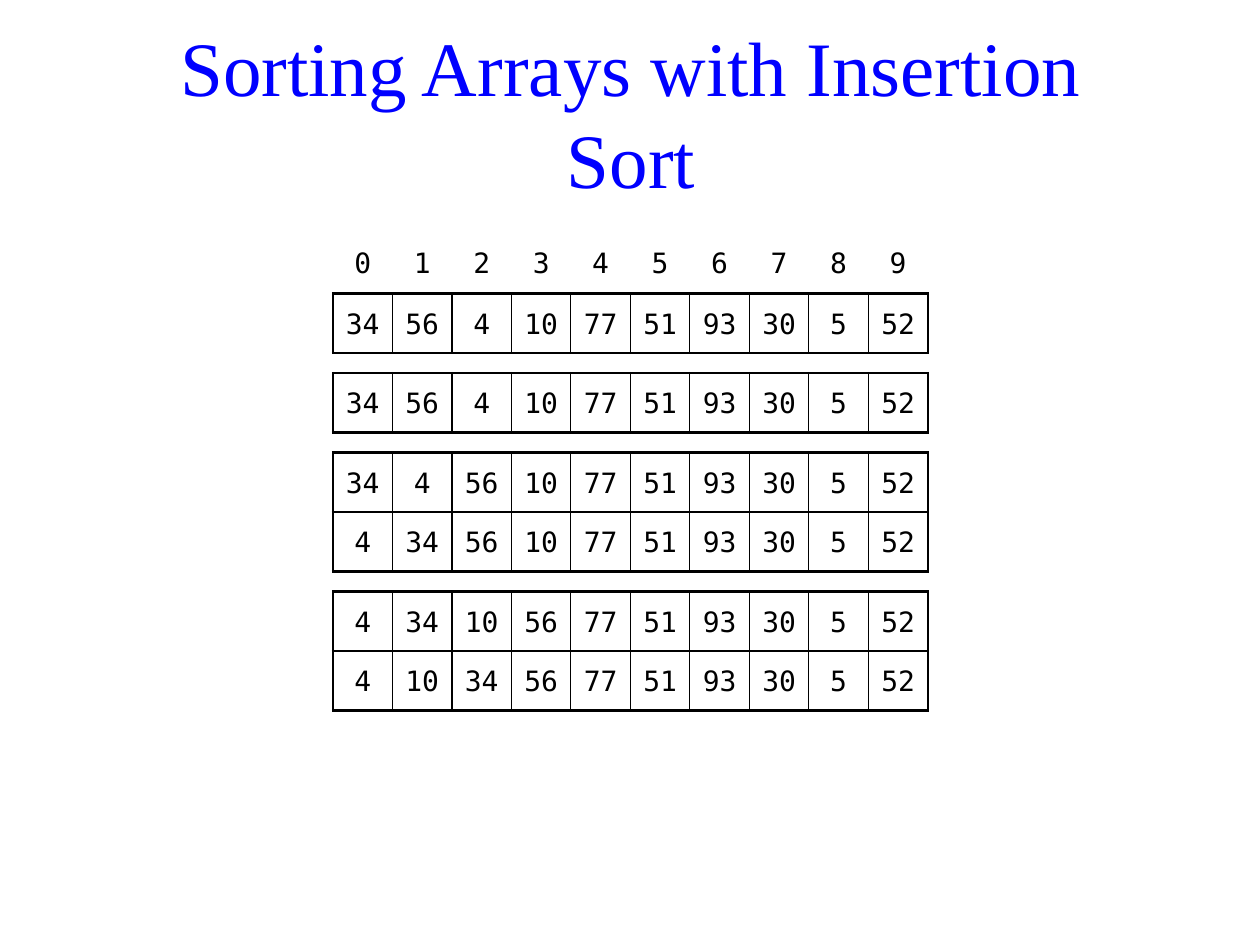
from lxml import etree
from pptx import Presentation, util as u
from pptx.dml.color import RGBColor
from pptx.enum import text
from pptx.oxml.ns import qn

TITLE = "Sorting Arrays with Insertion Sort"
INDEXES = list(range(10))
# Each group is one step of the sort; its arrays touch, and a gap follows.
STEPS = [
    [[34, 56, 4, 10, 77, 51, 93, 30, 5, 52]],
    [[34, 56, 4, 10, 77, 51, 93, 30, 5, 52]],
    [[34, 4, 56, 10, 77, 51, 93, 30, 5, 52],
     [4, 34, 56, 10, 77, 51, 93, 30, 5, 52]],
    [[4, 34, 10, 56, 77, 51, 93, 30, 5, 52],
     [4, 10, 34, 56, 77, 51, 93, 30, 5, 52]],
]

BLUE = RGBColor(0x00, 0x00, 0xFF)
BLACK = RGBColor(0x00, 0x00, 0x00)
WHITE = RGBColor(0xFF, 0xFF, 0xFF)
NO_STYLE = "{2D5ABB26-0587-4C30-8999-92F81FD0307C}"

PX = u.Inches(1) / 126
LEFT, TOP, WIDTH, GAP = 333, 234, 595, 20
CELL = WIDTH / len(INDEXES)
THICK, THIN = 1.5, 0.75


def px(length):
    return u.Emu(round(length * PX))


def write(frame, content, *, font, size, color):
    para = frame.paragraphs[0]
    para.alignment = text.PP_ALIGN.CENTER
    span = para.add_run()
    span.text = str(content)
    span.font.name = font
    span.font.size = u.Pt(size)
    span.font.color.rgb = color


def set_borders(cell, **widths):
    """Draw black borders; sides L, R, T, B come in that order, in points."""
    properties = cell._tc.get_or_add_tcPr()
    for side, width in widths.items():
        line = etree.SubElement(properties, qn(f"a:ln{side}"), w=str(u.Pt(width)))
        fill = etree.SubElement(line, qn("a:solidFill"))
        etree.SubElement(fill, qn("a:srgbClr"), val=str(BLACK))


def fill_cell(cell, value, *, bottom):
    cell.margin_left = cell.margin_right = px(10)
    cell.margin_top, cell.margin_bottom = px(6), px(bottom)
    cell.vertical_anchor = text.MSO_ANCHOR.MIDDLE
    write(cell.text_frame, value, font="DejaVu Sans Mono", size=16, color=BLACK)


def add_array(page, top, values, header=None):
    """Add one array as a table, with a row of indexes above it if given."""
    rows = [header, values] if header else [values]
    frame = page.shapes.add_table(len(rows), len(values), px(LEFT), px(top),
                                  px(WIDTH), px(CELL * len(rows)))
    table = frame.table
    table.first_row = table.horz_banding = False
    table._tbl.tblPr.find(qn("a:tableStyleId")).text = NO_STYLE
    for column in table.columns:
        column.width = px(CELL)
    for row in table.rows:
        row.height = px(CELL)

    last = len(values) - 1
    for r, row in enumerate(rows):
        for c, value in enumerate(row):
            cell = table.cell(r, c)
            if row is header:
                fill_cell(cell, value, bottom=6)
                set_borders(cell, B=THICK)
                cell.fill.background()
            else:
                fill_cell(cell, value, bottom=3)
                set_borders(cell, L=THICK if c == 0 else THIN,
                            R=THICK if c == last else THIN, T=THICK, B=THICK)
                cell.fill.solid()
                cell.fill.fore_color.rgb = WHITE


def main():
    deck = Presentation()
    deck.slide_width, deck.slide_height = px(1260), px(945)
    page = deck.slides.add_slide(deck.slide_layouts[6])

    box = page.shapes.add_textbox(px(110), px(50), px(1042), px(123))
    box.text_frame.word_wrap = True
    box.text_frame.vertical_anchor = text.MSO_ANCHOR.MIDDLE
    write(box.text_frame, TITLE, font="Times New Roman", size=44, color=BLUE)

    top, header = TOP, INDEXES
    for step in STEPS:
        for values in step:
            add_array(page, top, values, header)
            top += CELL * (2 if header else 1)
            header = None
        top += GAP

    deck.save("out.pptx")


if __name__ == "__main__":
    main()
